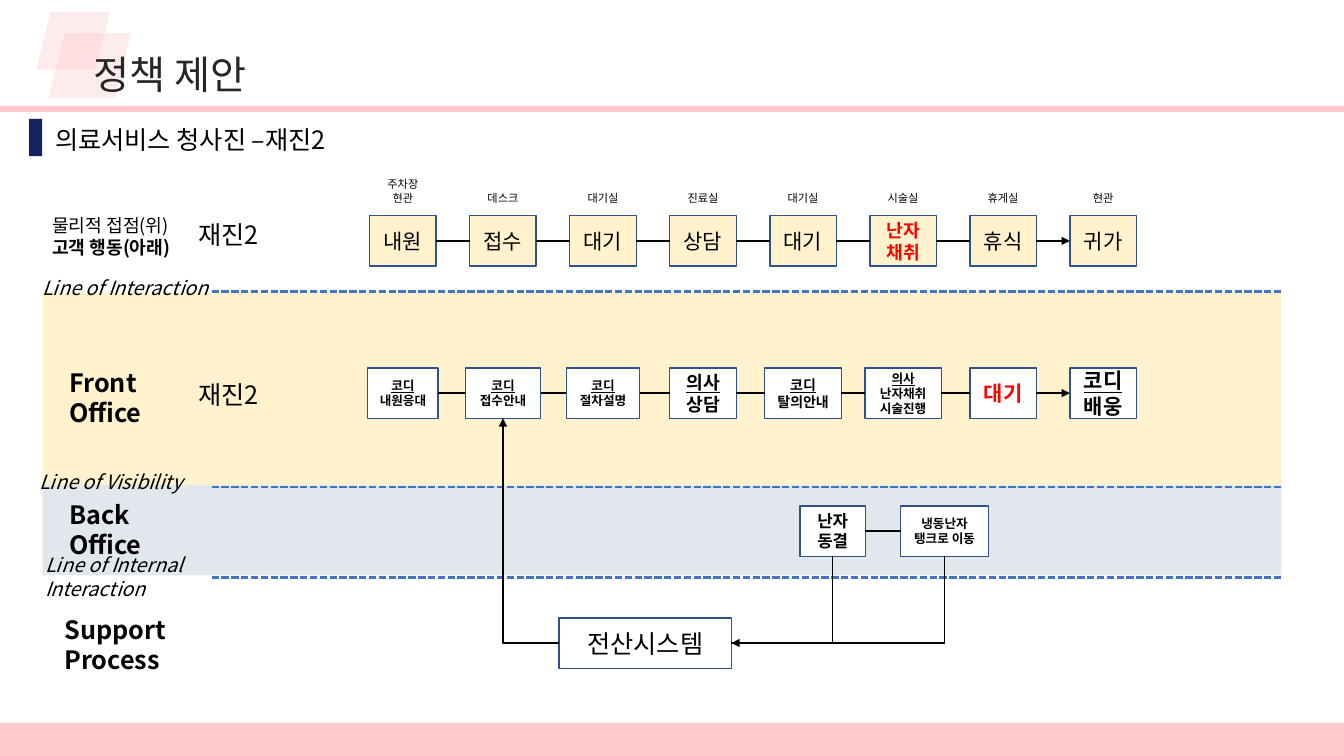
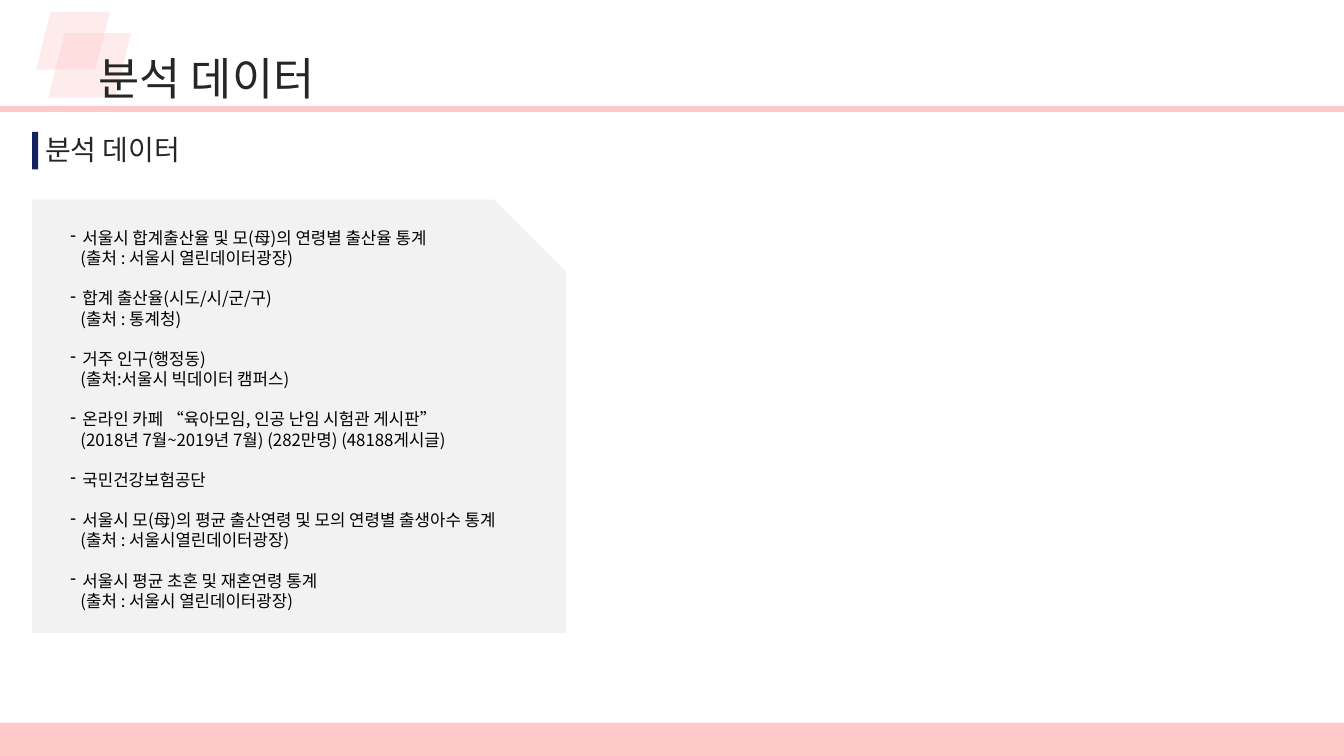
from lxml.etree import SubElement
from pptx import Presentation
from pptx.dml.color import RGBColor
from pptx.enum.dml import MSO_LINE
from pptx.enum.shapes import MSO_CONNECTOR, MSO_SHAPE
from pptx.enum.text import MSO_ANCHOR, PP_ALIGN
from pptx.oxml.ns import qn
from pptx.util import Inches, Pt

FONT = "Noto Sans CJK KR"
LINE_HEIGHT = 1.2
COLORS = {
    "pink": "FEC9C9", "navy": "13235D", "title": "262626", "black": "000000",
    "red": "FF0000", "white": "FFFFFF", "cream": "FFF2CC", "mist": "E1E7ED",
    "outline": "2F528F", "divider": "4472C4", "card": "F2F2F2",
}
BOTTOM, LEFT, RIGHT = 2, 1, 3

# Each column: place, customer action, front office lines, box width, text size
STEPS = [
    (["주차장", "현관"], ["내원"], ["코디", "내원응대"], 0.7, 9),
    (["데스크"], ["접수"], ["코디", "접수안내"], 0.75, 9),
    (["대기실"], ["대기"], ["코디", "절차설명"], 0.73, 9),
    (["진료실"], ["상담"], ["의사", "상담"], 0.66, 13),
    (["대기실"], ["대기"], ["코디", "탈의안내"], 0.76, 10),
    (["시술실"], ["난자", "채취"], ["의사", "난자채취", "시술진행"], 0.76, 9),
    (["휴게실"], ["휴식"], ["대기"], 0.66, 15),
    (["현관"], ["귀가"], ["코디", "배웅"], 0.66, 15),
]
SOURCES = [
    ("서울시 합계출산율 및 모(母)의 연령별 출산율 통계", "(출처 : 서울시 열린데이터광장)"),
    ("합계 출산율(시도/시/군/구)", "(출처 : 통계청)"),
    ("거주 인구(행정동)", "(출처:서울시 빅데이터 캠퍼스)"),
    ("온라인 카페 “육아모임, 인공 난임 시험관 게시판”",
     "(2018년 7월~2019년 7월) (282만명) (48188게시글)"),
    ("국민건강보험공단", None),
    ("서울시 모(母)의 평균 출산연령 및 모의 연령별 출생아수 통계",
     "(출처 : 서울시열린데이터광장)"),
    ("서울시 평균 초혼 및 재혼연령 통계", "(출처 : 서울시 열린데이터광장)"),
]


def rgb(name):
    return RGBColor.from_string(COLORS[name])


def style(paragraph, size, color="black", bold=False, italic=False):
    font = paragraph.font
    font.size, font.bold, font.italic = Pt(size), bold, italic
    font.color.rgb = rgb(color)
    font.name = FONT
    defaults = paragraph._p.get_or_add_pPr().find(qn("a:defRPr"))
    SubElement(defaults, qn("a:ea")).set("typeface", FONT)
    paragraph.line_spacing = Pt(round(size * LINE_HEIGHT, 1))


def write(frame, lines, size, align=PP_ALIGN.LEFT, anchor=MSO_ANCHOR.TOP, **look):
    frame.word_wrap = True
    frame.vertical_anchor = anchor
    for index, line in enumerate(lines):
        paragraph = frame.paragraphs[0] if index == 0 else frame.add_paragraph()
        paragraph.text = line
        paragraph.alignment = align
        style(paragraph, size, **look)
    return frame


def add_text(slide, box, lines, size, **look):
    frame = slide.shapes.add_textbox(*map(Inches, box)).text_frame
    return write(frame, lines, size, **look)


def paint(shape, fill, line=None):
    shape.shadow.inherit = False
    shape.fill.solid()
    shape.fill.fore_color.rgb = rgb(fill)
    if line:
        shape.line.color.rgb = rgb(line)
        shape.line.width = Pt(1)
    else:
        shape.line.fill.background()
    return shape


def add_block(slide, box, fill, line=None, kind=MSO_SHAPE.RECTANGLE):
    return paint(slide.shapes.add_shape(kind, *map(Inches, box)), fill, line)


def add_node(slide, box, lines, size, fill="white", role_first=False, **look):
    """Outlined box with centred text; role_first underlines the first line."""
    node = add_block(slide, box, fill, "outline")
    frame = write(node.text_frame, lines, size, align=PP_ALIGN.CENTER,
                  anchor=MSO_ANCHOR.MIDDLE, **look)
    if role_first:
        frame.paragraphs[0].font.underline = True
    return node


def add_line(slide, points=(0, 0, 0, 0), color="black", width=1, kind=MSO_CONNECTOR.STRAIGHT):
    line = slide.shapes.add_connector(kind, *map(Inches, points))
    line.line.color.rgb = rgb(color)
    line.line.width = Pt(width)
    SubElement(line._element.spPr, qn("a:effectLst"))
    return line


def add_arrowhead(line, end):
    SubElement(line.line._get_or_add_ln(), qn("a:" + end)).set("type", "triangle")


def link(slide, start, start_side, finish, finish_side, head=None, elbow=False):
    kind = MSO_CONNECTOR.ELBOW if elbow else MSO_CONNECTOR.STRAIGHT
    line = add_line(slide, kind=kind)
    line.begin_connect(start, start_side)
    line.end_connect(finish, finish_side)
    if elbow:
        line._element.spPr.find(qn("a:prstGeom")).set("prst", "bentConnector2")
    if head:
        add_arrowhead(line, head)


def chain(slide, nodes):
    """Link nodes left to right, with an arrowhead at the last one."""
    for node, following in zip(nodes, nodes[1:]):
        head = "tailEnd" if following is nodes[-1] else None
        link(slide, node, RIGHT, following, LEFT, head)


def add_frame(prs, title, title_box, title_size):
    """Blank slide with the shared decoration, bands and title."""
    slide = prs.slides.add_slide(prs.slide_layouts[6])
    for box in [(0.48, 0.33, 0.82, 0.64), (0.36, 0.12, 0.73, 0.57)]:
        ornament = add_block(slide, box, "pink", kind=MSO_SHAPE.PARALLELOGRAM)
        color = ornament._element.spPr.find(qn("a:solidFill"))[0]
        SubElement(color, qn("a:alpha")).set("val", "36000")
    add_block(slide, (0, 7.17, 13.34, 0.33), "pink")
    add_text(slide, title_box, [title], title_size, color="title")
    add_block(slide, (0, 1.05, 13.34, 0.06), "pink")
    return slide


def add_heading(slide, heading, bar, box, size, color):
    add_block(slide, bar, "navy")
    add_text(slide, box, [heading], size, color=color)


def add_lanes(slide, left, top):
    """Lane bands, their names and the dashed dividers."""
    add_block(slide, (left, top, 12.3, 1.99), "cream")
    add_block(slide, (left, top + 1.91, 12.3, 0.9), "mist")
    contact = add_text(slide, (left, top - 0.82, 2.43, 0.54),
                       ["물리적 접점(위)", "고객 행동(아래)"], 13)
    contact.paragraphs[1].font.bold = True
    for dx, dy, lines in [(0.17, 0.69, ["Front", "Office"]),
                          (0.17, 2.0, ["Back", "Office"]),
                          (0.12, 3.14, ["Support", "Process"])]:
        add_text(slide, (left + dx, top + dy, 1.36, 0.71), lines, 18, bold=True)
    for dy in (-0.77, 0.81):
        add_text(slide, (left + 1.45, top + dy, 0.84, 0.4), ["재진2"], 18)
    for dx, dy, lines in [(-0.1, -0.21, ["Line of Interaction"]),
                          (-0.13, 1.71, ["Line of Visibility"]),
                          (-0.07, 2.54, ["Line of Internal", "Interaction"])]:
        add_text(slide, (left + dx, top + dy, 2.02, 0.34), lines, 14, italic=True)
    for dy in (-0.01, 1.93, 2.83):
        y = top + dy
        divider = add_line(slide, (left + 1.68, y, left + 12.31, y), "divider", 1.75)
        divider.line.dash_style = MSO_LINE.SQUARE_DOT
        divider.line._get_or_add_ln().find(qn("a:prstDash")).set("val", "sysDash")


def add_steps(slide, left, top, width):
    """Customer actions over front office tasks; returns the tasks."""
    pitch = width / (len(STEPS) - 1)
    actions, tasks = [], []
    for index, (place, action, task, task_width, task_size) in enumerate(STEPS):
        center = left + index * pitch
        add_text(slide, (center - 0.35, top - 0.43, 0.7, 0.37), place, 8,
                 align=PP_ALIGN.CENTER, anchor=MSO_ANCHOR.BOTTOM)
        urgent = len(action) > 1
        actions.append(add_node(
            slide, (center - 0.33, top, 0.66, 0.5), action, 13 if urgent else 15,
            fill="cream", bold=urgent, color="red" if urgent else "black"))
        staffed = len(task) > 1
        tasks.append(add_node(
            slide, (center - task_width / 2, top + 1.51, task_width, 0.5), task, task_size,
            role_first=staffed, bold=True, color="black" if staffed else "red"))
    chain(slide, actions)
    chain(slide, tasks)
    return tasks


def add_support(slide, left, top, reception):
    """Back office boxes and the computer system that feeds reception."""
    freezing = add_node(slide, (left + 2.39, top, 0.65, 0.5), ["난자 동결"], 12, bold=True)
    moving = add_node(slide, (left + 3.39, top, 0.87, 0.5),
                      ["냉동난자", "탱크로 이동"], 9, bold=True)
    system = add_node(slide, (left, top + 1.11, 1.71, 0.5), ["전산시스템"], 18)
    link(slide, freezing, RIGHT, moving, LEFT)
    link(slide, system, LEFT, reception, BOTTOM, "tailEnd", elbow=True)
    link(slide, system, RIGHT, freezing, BOTTOM, "headEnd", elbow=True)
    link(slide, system, RIGHT, moving, BOTTOM, elbow=True)


def add_source_card(slide, left, top, width, height, cut=0.72):
    """Card with a cut top right corner, listing the data sources."""
    right, bottom = left + width, top + height
    outline = slide.shapes.build_freeform(Inches(left), Inches(top))
    corners = [(right - cut, top), (right, top + cut), (right, bottom), (left, bottom)]
    outline.add_line_segments([(Inches(x), Inches(y)) for x, y in corners], close=True)
    paint(outline.convert_to_shape(), "card")

    lines = [line for source in SOURCES for line in source if line]
    names = [name for name, _ in SOURCES]
    frame = add_text(slide, (left + 0.28, top + 0.23, width - 0.45, height - 0.24), lines, 12)
    for paragraph in frame.paragraphs:
        properties = paragraph._p.get_or_add_pPr()
        if paragraph.text not in names:
            properties.set("marL", str(Inches(0.1)))
            continue
        properties.set("marL", str(Inches(0.12)))
        properties.set("indent", str(-Inches(0.12)))
        if paragraph.text != names[0]:
            paragraph.space_before = Pt(12 * LINE_HEIGHT)
        bullet = properties.makeelement(qn("a:buChar"), {"char": "-"})
        properties.find(qn("a:defRPr")).addprevious(bullet)


def build_blueprint(prs):
    slide = add_frame(prs, "정책 제안", (0.83, 0.45, 5.83, 0.57), 28)
    add_heading(slide, "의료서비스 청사진 –재진2", (0.29, 1.18, 0.13, 0.37),
                (0.45, 1.18, 10.98, 0.4), 18, "black")
    add_lanes(slide, 0.42, 2.9)
    tasks = add_steps(slide, 4, 2.14, 6.95)
    add_support(slide, 5.55, 5.02, tasks[1])


def build_data_sources(prs):
    slide = add_frame(prs, "분석 데이터", (0.88, 0.45, 5.83, 0.64), 32)
    add_heading(slide, "분석 데이터", (0.32, 1.31, 0.06, 0.37),
                (0.35, 1.27, 2.42, 0.44), 20, "title")
    add_source_card(slide, 0.32, 1.98, 5.3, 4.3)


def main():
    prs = Presentation()
    prs.slide_width, prs.slide_height = Inches(13.34), Inches(7.5)
    build_blueprint(prs)
    build_data_sources(prs)
    prs.save("out.pptx")


if __name__ == "__main__":
    main()
